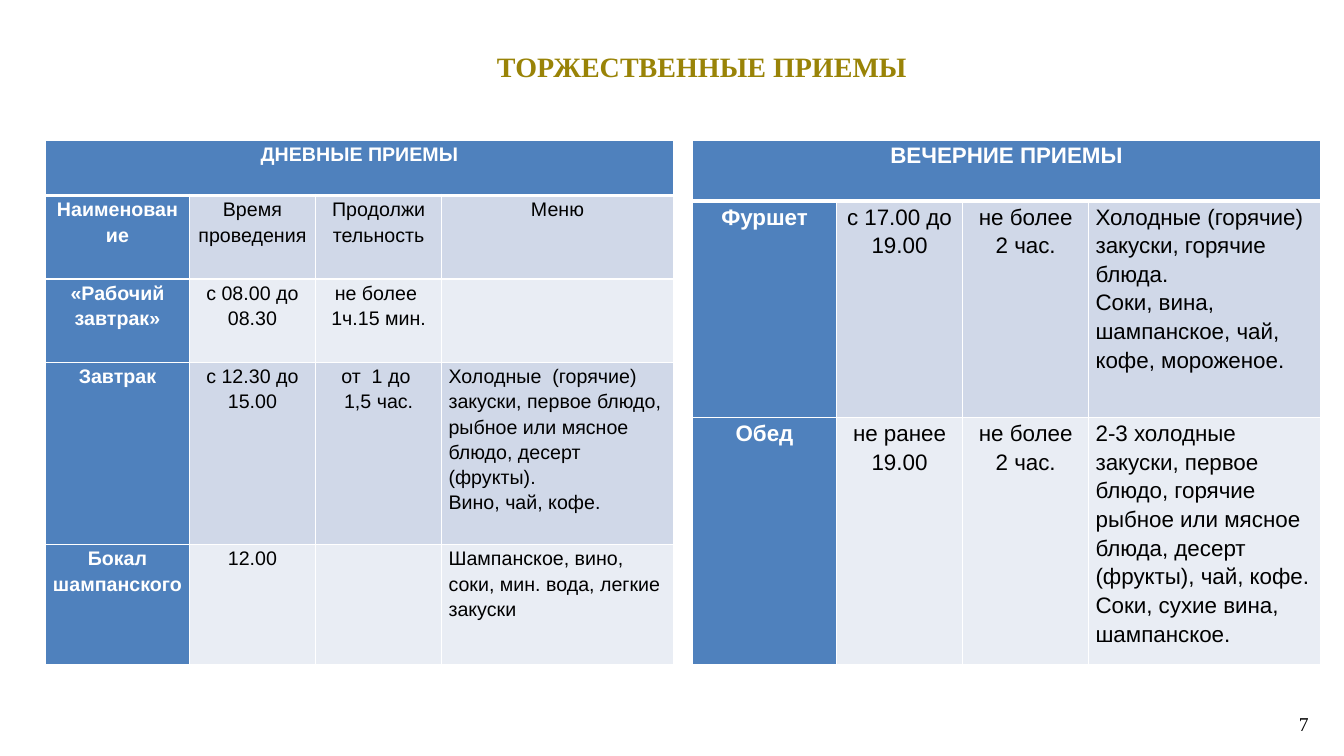
from dataclasses import dataclass

from lxml import etree
from pptx import Presentation
from pptx import util as u
from pptx.dml.color import RGBColor
from pptx.enum import text
from pptx.oxml import ns


@dataclass(frozen=True)
class Theme:
    heading_font: str = "Times New Roman"
    table_font: str = "Arial"
    gold: str = "998307"
    blue: str = "4F81BD"
    dark_band: str = "D0D8E8"
    light_band: str = "E9EDF4"
    white: str = "FFFFFF"
    black: str = "000000"
    title_size: int = 20
    number_size: int = 14
    day_size: int = 14
    evening_size: int = 16
    line_spacing: float = 1.15
    thin: float = 1
    thick: float = 3


LEFT, CENTER, RIGHT = text.PP_ALIGN.LEFT, text.PP_ALIGN.CENTER, text.PP_ALIGN.RIGHT


class ReceptionSlide:
    def __init__(self, deck, theme):
        self.theme = theme
        self.slide = deck.slides.add_slide(deck.slide_layouts[5])

    def add_lines(self, frame, lines, size, font, color, bold=False, align=CENTER, spacing=None):
        frame.word_wrap = True
        for index, line in enumerate(lines):
            paragraph = frame.paragraphs[0] if index == 0 else frame.add_paragraph()
            paragraph.alignment = align
            if spacing:
                paragraph.line_spacing = spacing
            run = paragraph.add_run()
            run.text = line
            run.font.size = u.Pt(size)
            run.font.name = font
            run.font.bold = bold
            run.font.color.rgb = RGBColor.from_string(color)

    def title(self, caption, left, top, width, height):
        heading = self.slide.shapes.title
        heading.left, heading.top = u.Cm(left), u.Cm(top)
        heading.width, heading.height = u.Cm(width), u.Cm(height)
        frame = heading.text_frame
        frame.vertical_anchor = text.MSO_ANCHOR.TOP
        frame.auto_size = text.MSO_AUTO_SIZE.SHAPE_TO_FIT_TEXT
        self.add_lines(frame, [caption], self.theme.title_size, self.theme.heading_font,
                       self.theme.gold, bold=True)

    def page_number(self, number, left, top, width, height):
        box = self.slide.shapes.add_textbox(u.Cm(left), u.Cm(top), u.Cm(width), u.Cm(height))
        box.text_frame.vertical_anchor = text.MSO_ANCHOR.MIDDLE
        self.add_lines(box.text_frame, [number], self.theme.number_size,
                       self.theme.heading_font, self.theme.black, align=RIGHT)

    def border(self, cell, side, width):
        properties = cell._tc.get_or_add_tcPr()
        line = etree.SubElement(properties, ns.qn(f"a:ln{side}"), w=str(u.Pt(width)))
        fill = etree.SubElement(line, ns.qn("a:solidFill"))
        etree.SubElement(fill, ns.qn("a:srgbClr"), val=self.theme.white)

    def cell(self, cell, lines, fill, color, size, bold, align, top_line, bottom_line):
        for side, width in zip("LRTB", (self.theme.thin, self.theme.thin, top_line, bottom_line)):
            self.border(cell, side, width)
        cell.fill.solid()
        cell.fill.fore_color.rgb = RGBColor.from_string(fill)
        cell.margin_left = cell.margin_right = u.Cm(0.17)
        cell.margin_top = cell.margin_bottom = 0
        self.add_lines(cell.text_frame, lines, size, self.theme.table_font, color, bold,
                       align, self.theme.line_spacing)

    def table(self, left, top, columns, heights, heading, rows, size):
        theme = self.theme
        table = self.slide.shapes.add_table(
            len(heights), len(columns), u.Cm(left), u.Cm(top),
            u.Cm(sum(columns)), u.Cm(sum(heights))).table
        for column, width in zip(table.columns, columns):
            column.width = u.Cm(width)
        for row, height in zip(table.rows, heights):
            row.height = u.Cm(height)
        table.cell(0, 0).merge(table.cell(0, len(columns) - 1))
        heading_row = [[heading]] + [[]] * (len(columns) - 1)
        for r, row in enumerate([heading_row] + rows):
            band = theme.dark_band if r % 2 else theme.light_band
            for c, lines in enumerate(row):
                accent = r == 0 or c == 0
                is_menu = c == len(columns) - 1 and lines != ["Меню"]
                self.cell(table.cell(r, c), lines,
                          theme.blue if accent else band,
                          theme.white if accent else theme.black,
                          size, accent, LEFT if is_menu else CENTER,
                          theme.thick if r == 1 else theme.thin,
                          theme.thick if r == 0 else theme.thin)


DAY_ROWS = [
    [["Наименование"], ["Время проведения"], ["Продолжи тельность"], ["Меню"]],
    [["«Рабочий завтрак»"], ["с 08.00 до 08.30"], ["не более ", "1ч.15 мин."], []],
    [["Завтрак"], ["с 12.30 до 15.00"], ["от  1 до ", "1,5 час."],
     ["Холодные  (горячие) закуски, первое блюдо, рыбное или мясное блюдо, десерт (фрукты).",
      "Вино, чай, кофе."]],
    [["Бокал шампанского"], ["12.00"], [],
     ["Шампанское, вино, соки, мин. вода, легкие закуски"]],
]

EVENING_ROWS = [
    [["Фуршет"], ["с 17.00 до 19.00"], ["не более", "2 час."],
     ["Холодные (горячие) закуски, горячие блюда.",
      "Соки, вина, шампанское, чай, кофе, мороженое."]],
    [["Обед"], ["не ранее 19.00"], ["не более", "2 час."],
     ["2-3 холодные закуски, первое блюдо, горячие рыбное или мясное блюда, "
      "десерт (фрукты), чай, кофе.",
      "Соки, сухие вина, шампанское."]],
]


def main():
    deck = Presentation()
    deck.slide_width, deck.slide_height = u.Inches(13.33), u.Inches(7.5)
    theme = Theme()
    receptions = ReceptionSlide(deck, theme)
    receptions.title("ТОРЖЕСТВЕННЫЕ ПРИЕМЫ", 3.33, 1.12, 28.7, 1.11)
    columns = [3.62, 3.18, 3.18, 5.83]
    tables_top = 3.53
    receptions.table(1.15, tables_top, columns, [1.4, 2.1, 2.1, 4.6, 3.03],
                     "ДНЕВНЫЕ ПРИЕМЫ", DAY_ROWS, theme.day_size)
    receptions.table(17.45, tables_top, columns, [1.54, 5.46, 6.2],
                     "ВЕЧЕРНИЕ ПРИЕМЫ", EVENING_ROWS, theme.evening_size)
    receptions.page_number("7", 25.32, 17.73, 7.9, 1.02)
    deck.save("out.pptx")


if __name__ == "__main__":
    main()
